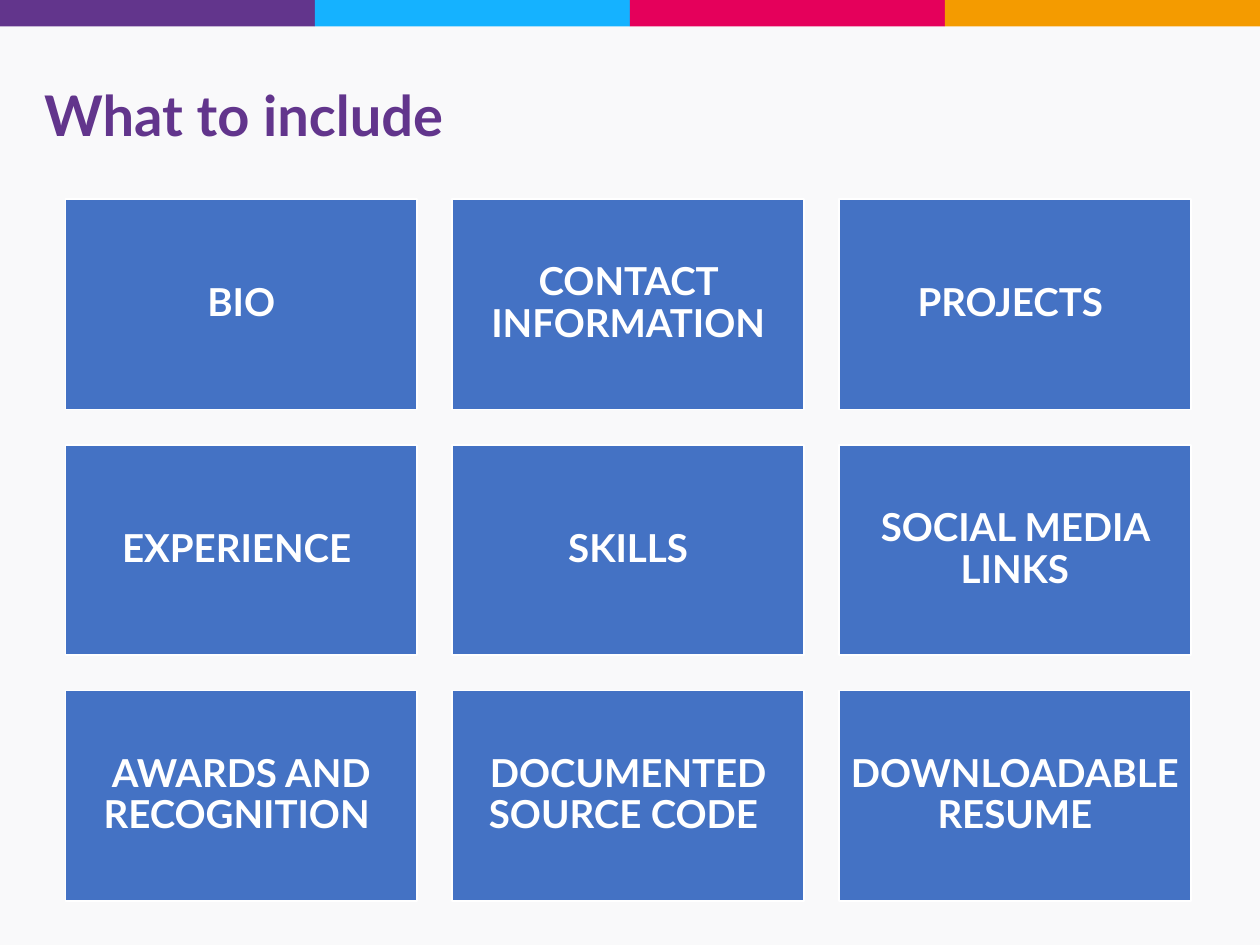
from dataclasses import dataclass

from pptx import Presentation
from pptx.dml.color import RGBColor
from pptx.enum.shapes import MSO_SHAPE as Preset
from pptx.enum.text import MSO_ANCHOR as Anchor, MSO_AUTO_SIZE as AutoSize, PP_ALIGN as Align
from pptx.util import Inches, Pt

COLORS = {
    "background": "F9F9FA",
    "purple": "62358C",
    "sky": "15B2FF",
    "pink": "E5005B",
    "orange": "F49B00",
    "tile": "4472C4",
    "white": "FFFFFF",
}
WIDTH, HEIGHT = 10, 7.5
BANDS = ("purple", "sky", "pink", "orange")
SECTIONS = (
    "BIO", "CONTACT INFORMATION", "PROJECTS ",
    "EXPERIENCE ", "SKILLS", "SOCIAL MEDIA LINKS",
    "AWARDS AND RECOGNITION ", "DOCUMENTED SOURCE CODE ", "DOWNLOADABLE RESUME",
)


@dataclass(frozen=True)
class Box:
    left: float
    top: float
    width: float
    height: float

    def emu(self) -> tuple:
        return tuple(Inches(n) for n in (self.left, self.top, self.width, self.height))


@dataclass(frozen=True)
class Grid:
    first: Box
    columns: int
    gap: float

    def cell(self, index: int) -> Box:
        row, column = divmod(index, self.columns)
        return Box(
            self.first.left + column * (self.first.width + self.gap),
            self.first.top + row * (self.first.height + self.gap),
            self.first.width,
            self.first.height,
        )


def rgb(name: str) -> RGBColor:
    return RGBColor.from_string(COLORS[name])


def write(frame, text: str, *, size: float, color: str, align=Align.LEFT,
          inset: float = 0.1, after: float = 0) -> None:
    frame.word_wrap = True
    frame.auto_size = AutoSize.NONE
    frame.vertical_anchor = Anchor.MIDDLE
    frame.margin_left = frame.margin_right = Inches(inset)
    frame.margin_top = frame.margin_bottom = Inches(0.09)
    paragraph = frame.paragraphs[0]
    paragraph.alignment = align
    paragraph.line_spacing = 0.9
    paragraph.space_after = Pt(after)
    words = paragraph.add_run()
    words.text = text
    words.font.name = "Lato"
    words.font.size = Pt(size)
    words.font.bold = True
    words.font.color.rgb = rgb(color)


def draw_rectangle(slide, box: Box, fill: str, outline: str = ""):
    rectangle = slide.shapes.add_shape(Preset.RECTANGLE, *box.emu())
    rectangle.shadow.inherit = False
    rectangle.fill.solid()
    rectangle.fill.fore_color.rgb = rgb(fill)
    if outline:
        rectangle.line.color.rgb = rgb(outline)
        rectangle.line.width = Pt(1)
    else:
        rectangle.line.fill.background()
    return rectangle


def main() -> None:
    deck = Presentation()
    deck.slide_width, deck.slide_height = Inches(WIDTH), Inches(HEIGHT)
    slide = deck.slides.add_slide(deck.slide_layouts[5])
    slide.background.fill.solid()
    slide.background.fill.fore_color.rgb = rgb("background")

    bands = Grid(Box(0, 0, WIDTH / len(BANDS), 0.21), len(BANDS), 0)
    for index, color in enumerate(BANDS):
        draw_rectangle(slide, bands.cell(index), color)

    heading = slide.shapes.title
    heading.left, heading.top, heading.width, heading.height = Box(0.25, 0.64, 9.48, 0.6).emu()
    write(heading.text_frame, "What to include", size=32, color="purple")

    tiles = Grid(Box(0.52, 1.58, 2.79, 1.67), 3, 0.28)
    for index, section in enumerate(SECTIONS):
        tile = draw_rectangle(slide, tiles.cell(index), "tile", "white")
        write(tile.text_frame, section, size=22, color="white",
              align=Align.CENTER, inset=0.05, after=7.7)

    deck.save("out.pptx")


if __name__ == "__main__":
    main()
